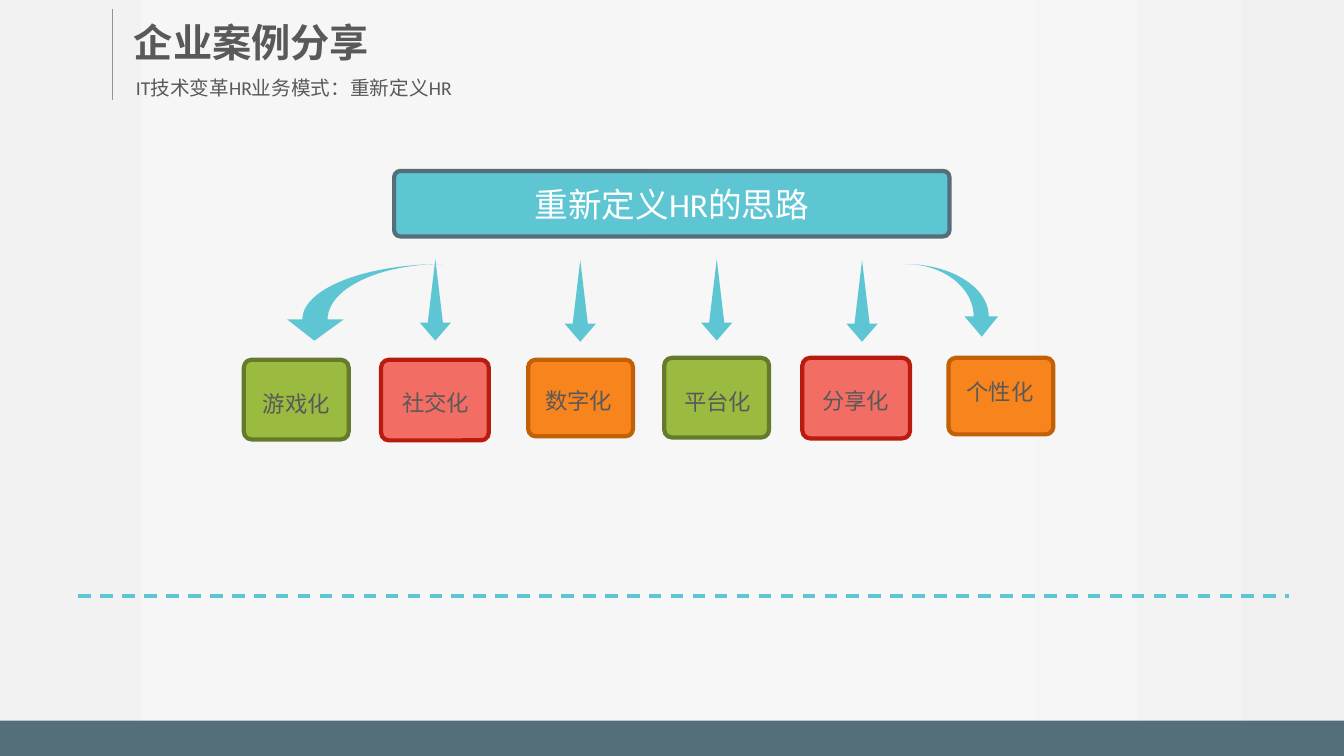
"""Build the slide on the six ideas for redefining HR."""
from math import cos, pi, sin

from lxml import etree
from pptx import Presentation
from pptx.dml.color import RGBColor
from pptx.enum.dml import MSO_LINE
from pptx.enum.shapes import MSO_CONNECTOR, MSO_SHAPE
from pptx.enum.text import MSO_ANCHOR, PP_ALIGN
from pptx.oxml.ns import qn
from pptx.util import Pt

RECTANGLE = MSO_SHAPE.RECTANGLE
ROUNDED = MSO_SHAPE.ROUNDED_RECTANGLE
STRAIGHT = MSO_CONNECTOR.STRAIGHT
DASH = MSO_LINE.DASH
MIDDLE = MSO_ANCHOR.MIDDLE
LEFT, CENTER, JUSTIFY = PP_ALIGN.LEFT, PP_ALIGN.CENTER, PP_ALIGN.JUSTIFY

TEAL, SLATE, GREY, WHITE = "5EC6D3", "546E7A", "595959", "FFFFFF"
GREEN, RED, ORANGE = ("9BBB40", "657A2A"), ("F26D64", "B91B0F"), ("F8841D", "C26006")
BACKDROP = [(0, "F2F2F2"), (21, "F6F6F6"), (48, "F7F7F7"), (77, "F5F5F5"), (100, "F0F0F0")]

CARD_STYLES = [(GREEN, 74.9, 56.9, 178), (RED, 77, 57.6, 78), (ORANGE, 74.9, 54.7, 67)]
CARDS = [
    ("游戏化", 174.2, 257, 180.7, 269.3, 1.3),
    ("社交化", 272.2, 257, 280.1, 268.6, 1.3),
    ("数字化", 377.3, 257, 382.3, 267.1, 1.3),
    ("平台化", 474.5, 255.6, 481.7, 267.8, 1.3),
    ("分享化", 573.1, 255.6, 580.3, 267.1, 1.3),
    ("个性化", 677.5, 255.6, 683.3, 266.4, 1),
]
DOWN_ARROWS = [(311, 185), (414.5, 185.8), (512, 185), (615.8, 185.8)]


def color(code):
    return RGBColor.from_string(code)


class Painter:
    """Hold the text style and the current page, and draw each kind of element."""

    font = "Calibri"

    def __init__(self, page):
        self.page = page
        self.shapes = page.shapes

    def background(self, stops):
        fill = self.page.background.fill
        fill.gradient()
        fill.gradient_angle = 0
        stop_list = next(self.page.element.iter(qn("a:gsLst")))
        for old in list(stop_list):
            stop_list.remove(old)
        for percent, code in stops:
            stop = etree.SubElement(stop_list, qn("a:gs"), pos=str(percent * 1000))
            etree.SubElement(stop, qn("a:srgbClr"), val=code)

    def paint(self, shape, fill, outline=None):
        shape.shadow.inherit = False
        shape.fill.solid()
        shape.fill.fore_color.rgb = color(fill)
        if outline:
            shape.line.color.rgb = color(outline)
            shape.line.width = Pt(3)
        else:
            shape.line.fill.background()

    def block(self, kind, left, top, width, height, fill, outline=None, corner=0.097):
        shape = self.shapes.add_shape(kind, Pt(left), Pt(top), Pt(width), Pt(height))
        if kind == ROUNDED:
            shape.adjustments[0] = corner
        self.paint(shape, fill, outline)
        return shape

    def line(self, start, end, stroke, weight, dash=None):
        line = self.shapes.add_connector(STRAIGHT, *map(Pt, start + end))
        line.line.color.rgb = color(stroke)
        line.line.width = Pt(weight)
        if dash:
            line.line.dash_style = dash
        etree.SubElement(line.element.spPr, qn("a:effectLst"))

    def label(self, frame, words, size, ink=GREY, align=LEFT, spacing=1, bold=False):
        frame.text = words
        para = frame.paragraphs[0]
        para.alignment = align
        para.line_spacing = spacing
        for span in para.runs:
            span.font.name = self.font
            span.font.size = Pt(size)
            span.font.bold = bold
            span.font.color.rgb = color(ink)

    def text(self, left, top, width, height, words, size, wrap=True, **style):
        box = self.shapes.add_textbox(Pt(left), Pt(top), Pt(width), Pt(height))
        box.text_frame.word_wrap = wrap
        self.label(box.text_frame, words, size, **style)

    def outline(self, points, fill):
        points = [(Pt(x), Pt(y)) for x, y in points]
        builder = self.shapes.build_freeform(*points[0])
        builder.add_line_segments(points[1:], close=True)
        self.paint(builder.convert_to_shape(), fill)

    def down_arrow(self, x, top):
        neck = top + 45.4
        self.outline([(x, top), (x + 5.4, neck), (x + 11.2, neck), (x, top + 58.3),
                      (x - 11.2, neck), (x - 5.4, neck)], TEAL)

    def curved_arrow(self, tail, outer, inner, neck, head, tip, steps=24):
        def arc(end):
            angles = [pi / 2 * step / steps for step in range(steps + 1)]
            return [(tail[0] + (end - tail[0]) * sin(angle),
                     neck - (neck - tail[1]) * cos(angle)) for angle in angles]

        outer_head, inner_head = head
        self.outline(arc(outer) + [(outer_head, neck), tip, (inner_head, neck)]
                     + arc(inner)[::-1], TEAL)


def main():
    deck = Presentation()
    deck.slide_width, deck.slide_height = Pt(960), Pt(540)
    painter = Painter(deck.slides.add_slide(deck.slide_layouts[6]))
    painter.background(BACKDROP)

    painter.line((80, 6.5), (80, 71.3), "939393", 0.5)
    painter.block(RECTANGLE, 0, 514.8, 960, 25.2, SLATE)
    painter.text(88.6, 9.4, 184.3, 41, "企业案例分享", 28, wrap=False, bold=True)
    painter.text(90, 50.4, 298, 24.5, "IT技术变革HR业务模式：重新定义HR", 14)

    banner = painter.block(ROUNDED, 281.5, 122.1, 396.7, 46.8, TEAL, SLATE, 0.096)
    banner.text_frame.vertical_anchor = MIDDLE
    painter.label(banner.text_frame, "重新定义HR的思路", 24, ink=WHITE, align=CENTER)

    painter.curved_arrow((316.1, 188.6), 216, 234, 228.2, (205.2, 245.5), (224.6, 243.4))
    painter.curved_arrow((646.6, 188.6), 706.3, 695.5, 226.1, (712.8, 689), (701.3, 240.5))
    for x, top in DOWN_ARROWS:
        painter.down_arrow(x, top)

    for (words, left, top, text_left, text_top, spacing), style in zip(CARDS, CARD_STYLES * 2):
        (fill, edge), width, height, text_width = style
        painter.block(ROUNDED, left, top, width, height, fill, edge)
        painter.text(text_left, text_top, text_width, 30, words, 16,
                     align=JUSTIFY, spacing=spacing)

    painter.line((56, 425.7), (921, 425.7), TEAL, 2.25, DASH)
    deck.save("out.pptx")


if __name__ == "__main__":
    main()
